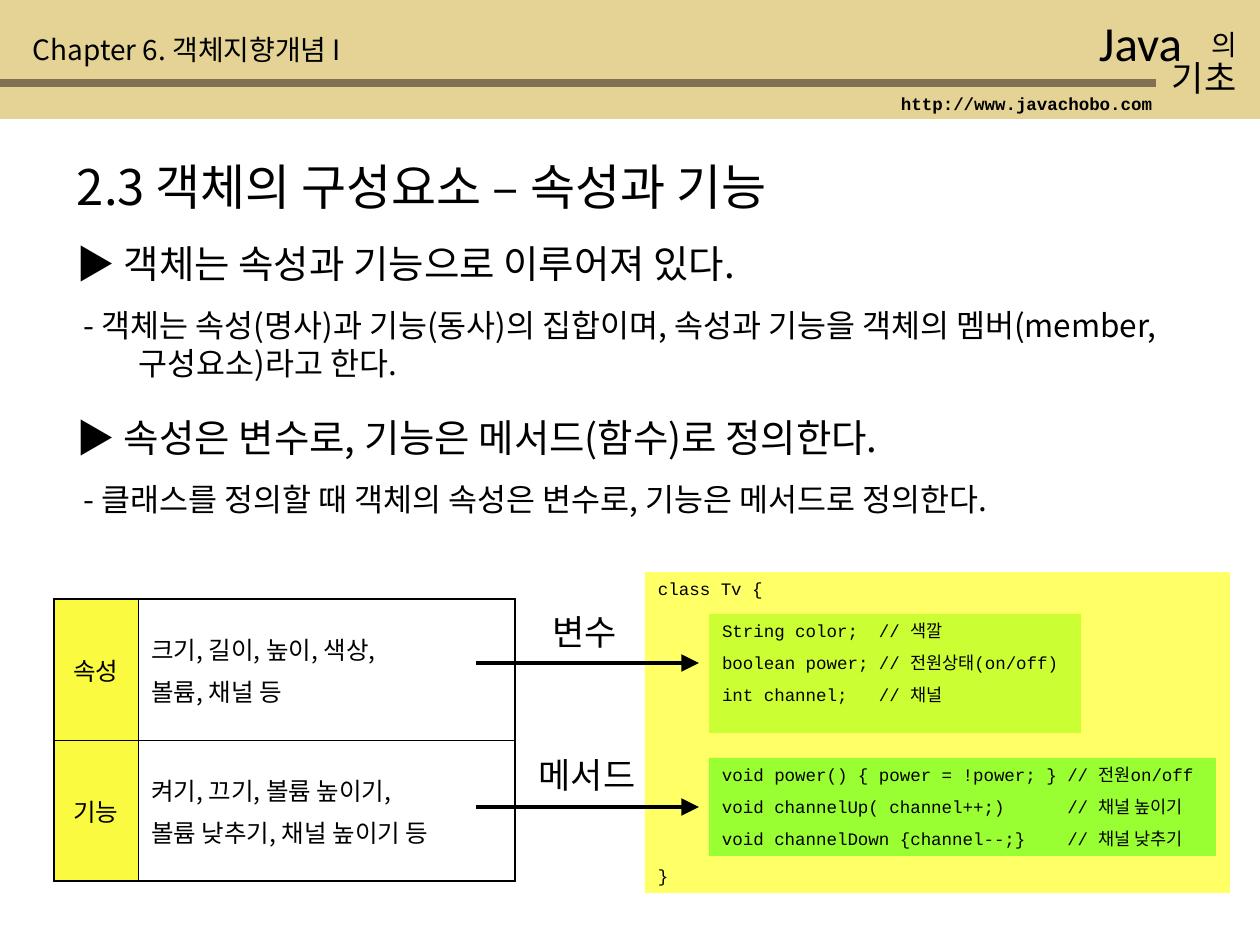
from lxml import etree
from pptx import Presentation
from pptx.dml.color import RGBColor
from pptx.enum.shapes import MSO_CONNECTOR, MSO_SHAPE
from pptx.enum.text import MSO_ANCHOR, PP_ALIGN
from pptx.oxml.ns import qn
from pptx.util import Pt

RECT, LINE = MSO_SHAPE.RECTANGLE, MSO_CONNECTOR.STRAIGHT
TOP, MID = MSO_ANCHOR.TOP, MSO_ANCHOR.MIDDLE
LEFT, CENTER = PP_ALIGN.LEFT, PP_ALIGN.CENTER


class Theme:
    sand, brown, ink = "E4D394", "817051", "000000"
    pale, lime, green, label = "FFFF66", "CCFF33", "99FF33", "FAFA40"
    hangul, latin, dash, mono = "Noto Sans CJK KR", "Calibri", "Arial", "Courier New"
    title, head, mark, body, bar, cell, code = 28, 22, 20, 18, 16, 14, 10


# box in px, text, format
LABELS = [
    ((1086, 6, 168, 72), "Java", dict(size=Theme.title, font=Theme.latin)),
    ((1199, 21, 59, 47), "의", dict(size=Theme.bar)),
    ((1159, 50, 101, 55), "기초", dict(size=Theme.mark)),
    ((888, 86, 277, 34), "http://www.javachobo.com",
     dict(size=Theme.code, font=Theme.mono, bold=True)),
    ((20, 26, 546, 47), "Chapter 6. 객체지향개념 I", dict(size=Theme.bar)),
    ((64, 150, 1071, 72),
     [("2.3 객체의 구성요소 ", Theme.hangul), ("– ", Theme.dash),
      ("속성과 기능", Theme.hangul)], dict(size=Theme.title)),
]
POINTS = [
    ((64, 234, 1131, 155), "▶ 객체는 속성과 기능으로 이루어져 있다.",
     "- 객체는 속성(명사)과 기능(동사)의 집합이며, 속성과 기능을 객체의 멤버(member, 구성요소)라고 한다."),
    ((64, 408, 1116, 117), "▶ 속성은 변수로, 기능은 메서드(함수)로 정의한다.",
     "- 클래스를 정의할 때 객체의 속성은 변수로, 기능은 메서드로 정의한다."),
]
PARTS = [
    ("속성", ["크기, 길이, 높이, 색상,", "볼륨, 채널 등"]),
    ("기능", ["켜기, 끄기, 볼륨 높이기,", "볼륨 낮추기, 채널 높이기 등"]),
]
ARROWS = [(663, (530, 604, 110, 55), "변수"), (807, (510, 747, 154, 55), "메서드")]
CLASS = ["class Tv {", "}"]
CODE = [
    ((709, 614, 372, 119), Theme.lime,
     ["String color;  // 색깔",
      "boolean power; // 전원상태(on/off)",
      "int channel;   // 채널"]),
    ((709, 758, 507, 98), Theme.green,
     ["void power() { power = !power; } // 전원on/off",
      "void channelUp( channel++;)      // 채널 높이기",
      "void channelDown {channel--;}    // 채널 낮추기"]),
]

deck = Presentation()
deck.slide_width, deck.slide_height = 9144000, 6858000
slide = deck.slides.add_slide(deck.slide_layouts[6])
shapes = slide.shapes


def px(n):
    return round(n * 9144000 / 1260)


def rgb(code):
    return RGBColor.from_string(code)


def write(frame, text, size, font=Theme.hangul, bold=False, align=LEFT,
          before=0, left=0, hang=0, more=False):
    """Add one paragraph; text is a string or a list of (text, font) runs."""
    para = frame.add_paragraph() if more else frame.paragraphs[0]
    para.alignment = align
    if more:
        para.space_before = Pt(before)
    if left:
        props = para._p.get_or_add_pPr()
        props.set("marL", str(px(left)))
        props.set("indent", str(px(-hang)))
    runs = [(text, font)] if isinstance(text, str) else text
    for words, face in runs:
        run = para.add_run()
        run.text = words
        run.font.name, run.font.size, run.font.bold = face, Pt(size), bold
        run.font.color.rgb = rgb(Theme.ink)
        east = etree.SubElement(run._r.get_or_add_rPr(), qn("a:ea"))
        east.set("typeface", Theme.hangul)


def prep(frame, anchor=TOP):
    frame.word_wrap = True
    frame.vertical_anchor = anchor
    frame.margin_left = frame.margin_right = px(13)
    frame.margin_top = frame.margin_bottom = px(6)
    return frame


def block(box, fill):
    shape = shapes.add_shape(RECT, *map(px, box))
    shape.shadow.inherit = False
    shape.fill.solid()
    shape.fill.fore_color.rgb = rgb(fill)
    shape.line.fill.background()
    return shape.text_frame


def text_box(box, anchor=TOP):
    return prep(shapes.add_textbox(*map(px, box)).text_frame, anchor)


def arrow(y):
    line = shapes.add_connector(LINE, px(476), px(y), px(699), px(y))
    line.line.color.rgb = rgb(Theme.ink)
    line.line.width = Pt(2)
    etree.SubElement(line.line._get_or_add_ln(), qn("a:tailEnd"),
                     type="triangle", w="lg", len="lg")
    etree.SubElement(line._element.spPr, qn("a:effectLst"))


def border(cell, widths):
    """Draw the cell's edges; widths maps an edge tag to points."""
    props = cell._tc.get_or_add_tcPr()
    for spot, (edge, width) in enumerate(widths.items()):
        line = etree.Element(qn("a:" + edge), w=str(Pt(width)))
        fill = etree.SubElement(line, qn("a:solidFill"))
        etree.SubElement(fill, qn("a:srgbClr"), val=Theme.ink)
        props.insert(spot, line)


def add_parts():
    grid = shapes.add_table(2, 2, px(54), px(599), px(461), px(282)).table
    grid.first_row = grid.horz_banding = False
    for col, width in zip(grid.columns, (84, 377)):
        col.width = px(width)
    for r, (name, items) in enumerate(PARTS):
        grid.rows[r].height = px(141)
        for c, texts in enumerate(([name], items)):
            cell = grid.cell(r, c)
            cell.vertical_anchor = MID
            cell.margin_left = cell.margin_right = px(13)
            cell.margin_top = cell.margin_bottom = px(6)
            if c == 0:
                cell.fill.solid()
                cell.fill.fore_color.rgb = rgb(Theme.label)
            else:
                cell.fill.background()
            for i, text in enumerate(texts):
                write(cell.text_frame, text, Theme.cell, before=3.5,
                      align=LEFT if c else CENTER, more=i > 0)
            thick, thin = 1.08, 0.45
            border(cell, {"lnL": thin if c else thick, "lnR": thick if c else thin,
                          "lnT": thin if r else thick, "lnB": thick if r else thin})


frame = prep(block((645, 572, 585, 321), Theme.pale))
for i, text in enumerate(CLASS):
    write(frame, text, Theme.code, Theme.mono, before=152, more=i > 0)
block((0, 0, 1260, 119), Theme.sand)
block((0, 79, 1156, 8), Theme.brown)

for box, text, style in LABELS:
    write(text_box(box, MID), text, **style)
for box, head, note in POINTS:
    frame = text_box(box)
    write(frame, head, Theme.head, left=62, hang=62)
    write(frame, note, Theme.body, before=11.2, left=62, hang=55, more=True)

add_parts()
for y, box, text in ARROWS:
    arrow(y)
    write(text_box(box, MID), text, Theme.mark, align=CENTER)
for box, fill, texts in CODE:
    frame = prep(block(box, fill))
    for i, text in enumerate(texts):
        write(frame, text, Theme.code, Theme.mono, before=6.2, more=i > 0)

deck.save("out.pptx")
